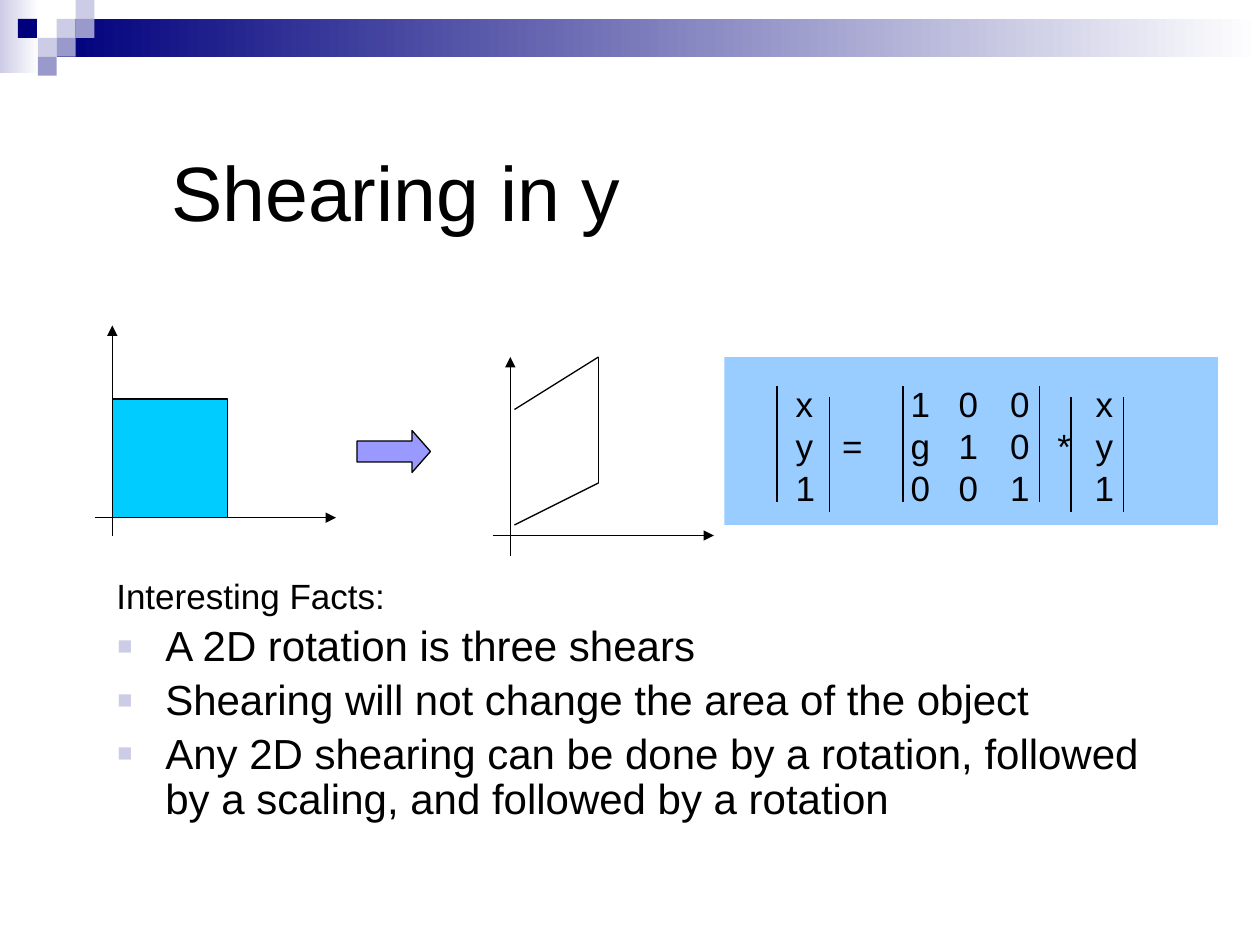
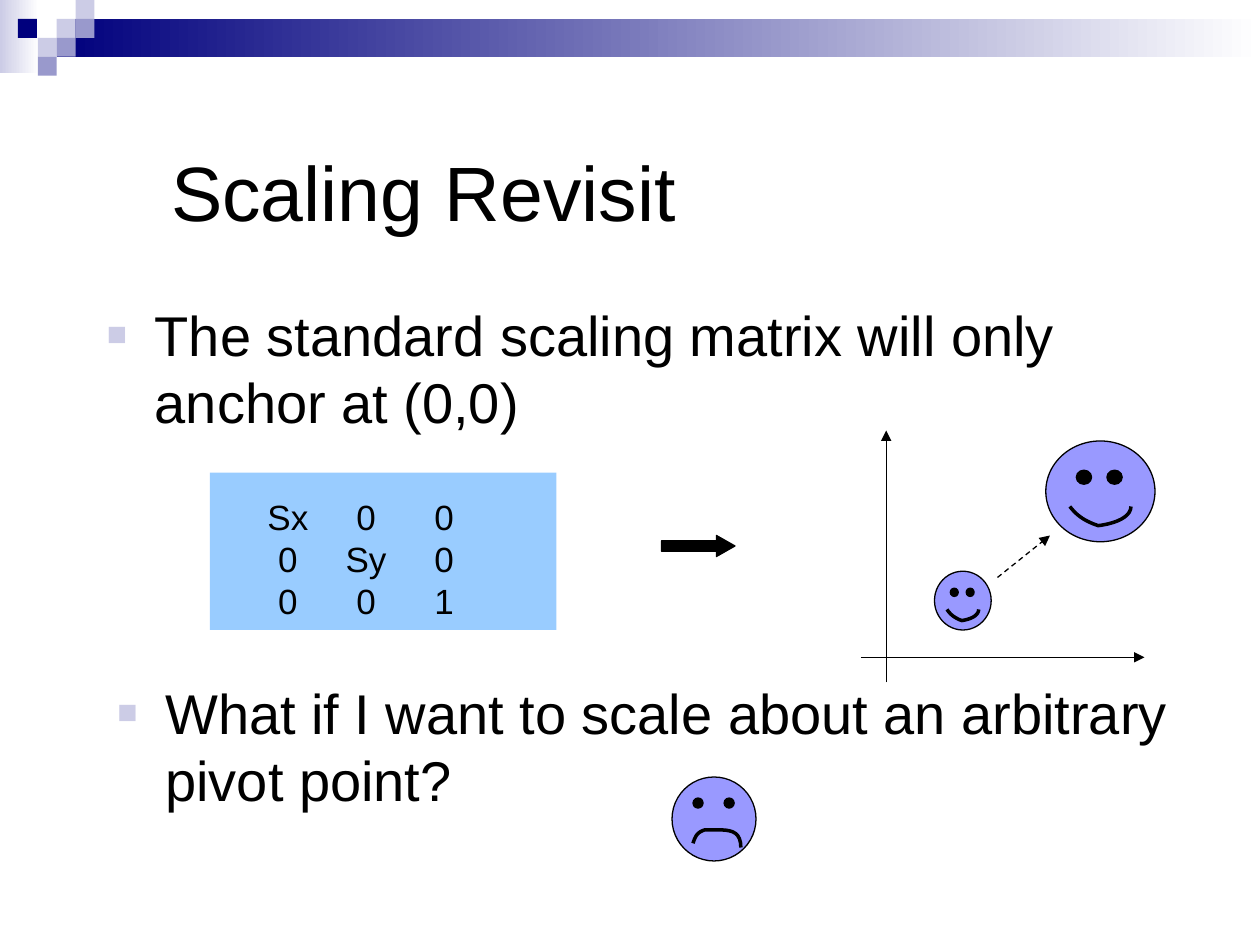
from lxml.etree import SubElement
from pptx import Presentation
from pptx.dml.color import RGBColor
from pptx.enum.dml import MSO_LINE
from pptx.enum.shapes import MSO_CONNECTOR, MSO_SHAPE
from pptx.enum.text import MSO_ANCHOR, MSO_AUTO_SIZE, PP_ALIGN
from pptx.oxml.ns import qn
from pptx.util import Emu, Inches, Pt

COLUMNS, ROWS = 120, 90
SLIDE_WIDTH, SLIDE_HEIGHT = Inches(10), Inches(7.5)
UNIT = SLIDE_WIDTH // COLUMNS
TILE = 1.8
FONT = "Arial"

BLACK = RGBColor(0x00, 0x00, 0x00)
WHITE = RGBColor(0xFF, 0xFF, 0xFF)
NAVY = RGBColor(0x00, 0x00, 0x7D)
LAVENDER = RGBColor(0xCC, 0xCC, 0xE6)
MAUVE = RGBColor(0x99, 0x99, 0xCC)
SKY = RGBColor(0x99, 0xCC, 0xFF)
CYAN = RGBColor(0x00, 0xCC, 0xFF)
VIOLET = RGBColor(0x99, 0x99, 0xFF)

SMILE = [(0.22, 0.65), (0.29, 0.75), (0.37, 0.8), (0.48, 0.84),
         (0.57, 0.83), (0.78, 0.78), (0.78, 0.65)]
FROWN = [(0.25, 0.79), (0.28, 0.7), (0.3, 0.66), (0.39, 0.63),
         (0.6, 0.64), (0.82, 0.58), (0.82, 0.84)]
HAPPY_EYES = (0.28, 0.56), 0.29, 0.14
SAD_EYES = (0.25, 0.62), 0.25, 0.12


def grid(*lengths):
    return [Emu(round(length * UNIT)) for length in lengths]


def add_block(slide, kind, box, color, outlined=False, fade_to=None):
    shape = slide.shapes.add_shape(kind, *grid(*box))
    shape.shadow.inherit = False
    if fade_to is None:
        shape.fill.solid()
        shape.fill.fore_color.rgb = color
    else:
        shape.fill.gradient()
        shape.fill.gradient_angle = 0
        for stop, stop_color in zip(shape.fill.gradient_stops, (color, fade_to)):
            stop.color.rgb = stop_color
    if outlined:
        shape.line.color.rgb = BLACK
        shape.line.width = Pt(0.75)
    else:
        shape.line.fill.background()
    return shape


def add_arrow_block(slide, box, color, head):
    arrow = add_block(slide, MSO_SHAPE.RIGHT_ARROW, box, color, outlined=True)
    arrow.adjustments[0] = 0.5
    arrow.adjustments[1] = head


def add_line(slide, start, end, arrow=False, dashed=False):
    line = slide.shapes.add_connector(MSO_CONNECTOR.STRAIGHT, *grid(*start, *end))
    line.line.color.rgb = BLACK
    line.line.width = Pt(0.75)
    if dashed:
        line.line.dash_style = MSO_LINE.DASH
    if arrow:
        SubElement(line.line._get_or_add_ln(), qn("a:tailEnd"), type="triangle")
    SubElement(line.element.spPr, qn("a:effectLst"))


def add_axes(slide, origin, left, right, top, bottom):
    x, y = origin
    add_line(slide, (x, bottom), (x, top), arrow=True)
    add_line(slide, (left, y), (right, y), arrow=True)


def add_run(paragraph, text, size):
    run = paragraph.add_run()
    run.text = text
    run.font.name = FONT
    run.font.size = Pt(size)
    run.font.color.rgb = BLACK


def add_bullet(paragraph, size):
    paragraph.space_before = Pt(size * 0.2)
    properties = paragraph._p.get_or_add_pPr()
    properties.set("marL", str(Inches(0.38)))
    properties.set("indent", str(-Inches(0.38)))
    color = SubElement(properties, qn("a:buClr"))
    SubElement(color, qn("a:srgbClr"), val=str(LAVENDER))
    SubElement(properties, qn("a:buSzPct"), val="60000")
    SubElement(properties, qn("a:buFont"), typeface=FONT)
    SubElement(properties, qn("a:buChar"), char="■")


def add_tab_stops(paragraph, centers):
    stops = SubElement(paragraph._p.get_or_add_pPr(), qn("a:tabLst"))
    for center in centers:
        SubElement(stops, qn("a:tab"), pos=str(Inches(center)), algn="ctr")


def add_text(slide, box, lines, size, bulleted=False, spacing=None, tabs=()):
    frame = slide.shapes.add_textbox(*grid(*box)).text_frame
    frame.word_wrap = True
    for index, line in enumerate(lines):
        paragraph = frame.add_paragraph() if index else frame.paragraphs[0]
        if spacing:
            paragraph.line_spacing = spacing
        if bulleted:
            add_bullet(paragraph, size)
        if tabs:
            add_tab_stops(paragraph, tabs)
        add_run(paragraph, line, size)


def add_matrix(slide, box, rows, tabs):
    add_text(slide, box, ["\t".join(row) for row in rows], 20, tabs=tabs)


def add_face(slide, box, eyes, mouth):
    left, top, width, height = box
    add_block(slide, MSO_SHAPE.OVAL, box, VIOLET, outlined=True)
    eye_lefts, eye_top, eye_size = eyes
    for eye_left in eye_lefts:
        eye = (left + eye_left * width, top + eye_top * height,
               eye_size * width, eye_size * height)
        add_block(slide, MSO_SHAPE.OVAL, eye, BLACK, outlined=True)
    curve = [grid(left + x * width, top + y * height)
             for x, y in trace_curve(mouth)]
    builder = slide.shapes.build_freeform(*curve[0])
    builder.add_line_segments(curve[1:], close=False)
    lips = builder.convert_to_shape()
    lips.shadow.inherit = False
    lips.fill.background()
    lips.line.color.rgb = BLACK
    lips.line.width = Pt(2)


def trace_curve(points, steps=12):
    traced = [points[0]]
    for first in range(0, len(points) - 1, 3):
        controls = points[first:first + 4]
        for step in range(1, steps + 1):
            t = step / steps
            weights = ((1 - t) ** 3, 3 * t * (1 - t) ** 2, 3 * t * t * (1 - t), t ** 3)
            traced.append(tuple(sum(weight * point[axis] for weight, point
                                    in zip(weights, controls)) for axis in (0, 1)))
    return traced


def decorate_layout(layout, slide):
    rectangle = MSO_SHAPE.RECTANGLE
    blocks = [
        add_block(slide, rectangle, (0, 0, 3.7, 7), LAVENDER, fade_to=WHITE),
        add_block(slide, rectangle, (3 * TILE, TILE, COLUMNS - 3 * TILE, 2 * TILE),
                  NAVY, fade_to=WHITE),
    ]
    tiles = [(3, 1, LAVENDER), (4, 0, LAVENDER), (4, 1, MAUVE), (2, 2, LAVENDER),
             (0.95, 1, NAVY), (3, 2, MAUVE), (2, 3, MAUVE)]
    for column, row, color in tiles:
        box = (column * TILE, row * TILE, TILE, TILE)
        blocks.append(add_block(slide, rectangle, box, color))
    for block in blocks:
        layout.element.cSld.spTree.append(block.element)


def add_titled_slide(presentation, layout, title):
    slide = presentation.slides.add_slide(layout)
    shape = slide.shapes.title
    shape.left, shape.top, shape.width, shape.height = grid(15.1, 8.2, 102.2, 15)
    frame = shape.text_frame
    frame.auto_size = MSO_AUTO_SIZE.NONE
    frame.vertical_anchor = MSO_ANCHOR.BOTTOM
    frame.paragraphs[0].alignment = PP_ALIGN.LEFT
    add_run(frame.paragraphs[0], title, 44)
    return slide


def fill_shearing(slide):
    add_block(slide, MSO_SHAPE.RECTANGLE, (69, 34, 47, 16), SKY)
    add_axes(slide, (10.7, 49.3), 9, 32, 31, 51)
    add_block(slide, MSO_SHAPE.RECTANGLE, (10.7, 38, 11, 11.3), CYAN, outlined=True)
    add_axes(slide, (48.6, 51), 47, 68, 34, 53)
    add_arrow_block(slide, (34, 41, 7, 4), VIOLET, 0.44)
    add_matrix(slide, (74.6, 35.8, 38, 13.2),
               [("x", "", "1", "0", "0", "", "x"),
                ("y", "=", "g", "1", "0", "*", "y"),
                ("1", "", "0", "0", "1", "", "1")],
               (0.45, 0.99, 1.37, 1.78, 2.13, 2.45))
    for top, columns in ((36.8, (74, 86, 99)), (37.8, (79, 102, 107))):
        for column in columns:
            add_line(slide, (column, top), (column, top + 11))
    corners = [(49, 50), (57, 46), (57, 34), (49, 39)]
    for start, end in zip(corners, corners[1:]):
        add_line(slide, start, end)
    add_text(slide, (10, 59, 100, 28),
             ["A 2D rotation is three shears",
              "Shearing will not change the area of the object",
              "Any 2D shearing can be done by a rotation, followed by a scaling, "
              "and followed by a rotation"],
             24, bulleted=True, spacing=0.9)
    add_text(slide, (9.9, 54.1, 29.3, 5.2), ["Interesting Facts:"], 20)


def fill_scaling(slide):
    add_block(slide, MSO_SHAPE.RECTANGLE, (20, 45, 33, 15), SKY)
    add_text(slide, (9, 28, 102, 54),
             ["The standard scaling matrix will only anchor at (0,0)"],
             32, bulleted=True)
    add_matrix(slide, (20, 46.6, 27.6, 13.4),
               [("", "Sx", "0", "0"), ("", "0", "Sy", "0"), ("", "0", "0", "1")],
               (0.52, 1.14, 1.76))
    add_axes(slide, (84.4, 62.6), 82, 109, 41, 65)
    add_arrow_block(slide, (63, 51, 7, 2), BLACK, 0.88)
    add_text(slide, (10, 64, 105, 18),
             ["What if I want to scale about an arbitrary pivot point?"],
             32, bulleted=True)
    add_face(slide, (89, 54.4, 5.4, 5.6), HAPPY_EYES, SMILE)
    add_face(slide, (99.6, 42, 10.4, 9.6), HAPPY_EYES, SMILE)
    add_face(slide, (64, 74, 8, 8), SAD_EYES, FROWN)
    add_line(slide, (95, 55), (100, 51), arrow=True, dashed=True)


def main():
    presentation = Presentation()
    presentation.slide_width, presentation.slide_height = SLIDE_WIDTH, SLIDE_HEIGHT
    layout = presentation.slide_layouts.get_by_name("Title Only")
    shearing = add_titled_slide(presentation, layout, "Shearing in y")
    decorate_layout(layout, shearing)
    fill_shearing(shearing)
    fill_scaling(add_titled_slide(presentation, layout, "Scaling Revisit"))
    presentation.save("out.pptx")


if __name__ == "__main__":
    main()
